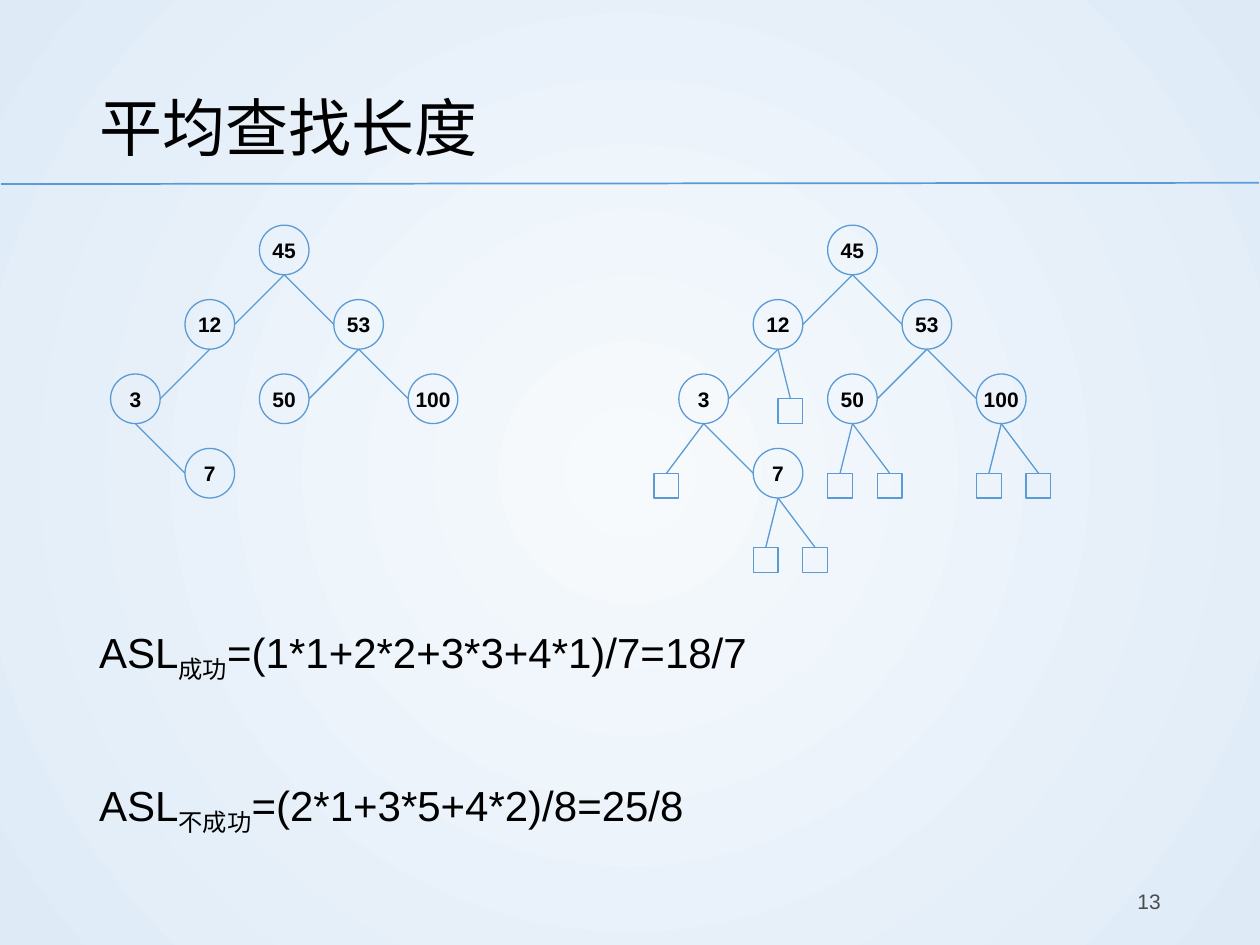
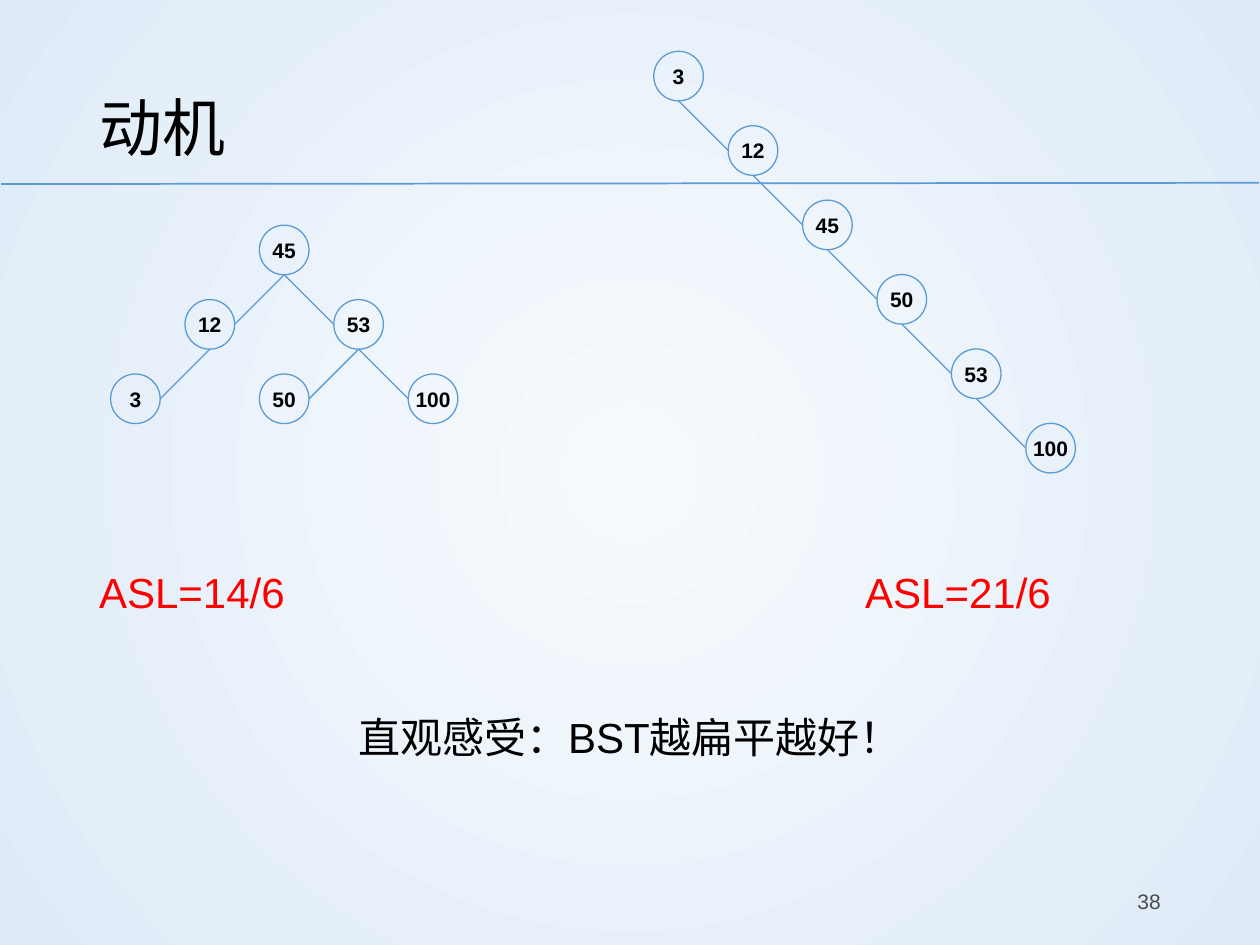
from typing import NamedTuple

from lxml import etree
from pptx import Presentation
from pptx.dml.color import RGBColor
from pptx.enum.shapes import MSO_CONNECTOR, MSO_SHAPE
from pptx.enum.text import MSO_ANCHOR, PP_ALIGN
from pptx.oxml.ns import qn
from pptx.util import Cm, Inches, Pt

LINE = MSO_CONNECTOR.STRAIGHT
OVAL, SQUARE = MSO_SHAPE.OVAL, MSO_SHAPE.RECTANGLE
TOP, MIDDLE = MSO_ANCHOR.TOP, MSO_ANCHOR.MIDDLE
LEFT, CENTER, RIGHT = PP_ALIGN.LEFT, PP_ALIGN.CENTER, PP_ALIGN.RIGHT

COLORS = {"center": "F7FAFD", "edge": "DEEBF7", "line": "5B9BD5",
          "text": "000000", "number": "4B4B4B", "result": "FF0000"}
FONT = "Arial"
GRID = Cm(0.5)
STEP = 3
RADIUS = 1
PAIR_OFFSETS = {-1: -0.5, 1: 1.5}
LONE_OFFSETS = {-1: -1.5, 1: 0.5}


class Box(NamedTuple):
    col: float
    row: float
    cols: float
    rows: float


class Tree(NamedTuple):
    col: float
    row: float
    keys: tuple[int, ...]
    show_leaves: bool = False


class Para(NamedTuple):
    texts: tuple[str, ...]
    color: str = "text"
    align: PP_ALIGN = LEFT
    tab: float = 0


class Page(NamedTuple):
    title: str
    number: str
    body: Box
    paras: tuple[Para, ...]
    trees: tuple[Tree, ...]


TITLE_BOX = Box(3.5, 2.03, 43.8, 5.5)
NUMBER_BOX = Box(35.87, 35.31, 11.43, 2.03)
RULE = (0.05, 7.42, 50.75, 7.37)

PAGES = (
    Page("平均查找长度", "13", Box(3.5, 24.54, 43.8, 9.8),
         (Para(("ASL", "成功", "=(1*1+2*2+3*3+4*1)/7=18/7")),
          Para(("ASL", "不成功", "=(2*1+3*5+4*2)/8=25/8"))),
         (Tree(11.46, 10.08, (45, 12, 53, 3, 7, 100, 50)),
          Tree(34.37, 10.08, (45, 12, 53, 3, 7, 100, 50), True))),
    Page("动机", "38", Box(3.5, 22.2, 43.8, 12.1),
         (Para(("ASL=14/6\tASL=21/6",), "result", tab=6.08),
          Para(("直观感受：BST越扁平越好！",), align=CENTER)),
         (Tree(11.46, 10.08, (45, 12, 53, 3, 100, 50)),
          Tree(27.36, 3.07, (3, 12, 45, 50, 53, 100)))),
)


def rgb(name: str) -> RGBColor:
    return RGBColor.from_string(COLORS[name])


def emu(*units: float) -> list[int]:
    return [round(u * GRID) for u in units]


def style_run(r, size: float, color: str, bold: bool = False) -> None:
    r.font.name = FONT
    r.font.size = Pt(size)
    r.font.bold = bold
    r.font.color.rgb = rgb(color)


def set_background(prs) -> None:
    master = prs.slide_master
    fill = master.background.fill
    fill.gradient()
    for stop, name in zip(fill.gradient_stops, ("center", "edge")):
        stop.color.rgb = rgb(name)
    grad = master.element.find(".//" + qn("a:gradFill"))
    grad.remove(grad.find(qn("a:lin")))
    circle = etree.SubElement(grad, qn("a:path"), path="circle")
    etree.SubElement(circle, qn("a:fillToRect"),
                     dict.fromkeys("ltrb", "50000"))


def add_line(s, x1: float, y1: float, x2: float, y2: float,
             width: float = 0.75) -> None:
    line = s.shapes.add_connector(LINE, *emu(x1, y1, x2, y2))
    line.line.color.rgb = rgb("line")
    line.line.width = Pt(width)
    etree.SubElement(line._element.spPr, qn("a:effectLst"))


def add_outline(s, kind: MSO_SHAPE, box: Box):
    sp = s.shapes.add_shape(kind, *emu(*box))
    sp.shadow.inherit = False
    sp.fill.background()
    sp.line.color.rgb = rgb("line")
    sp.line.width = Pt(0.75)
    return sp


def add_text(s, box: Box, anchor: MSO_ANCHOR):
    tf = s.shapes.add_textbox(*emu(*box)).text_frame
    tf.word_wrap = True
    tf.vertical_anchor = anchor
    return tf


def add_label(s, box: Box, text: str, size: float, color: str,
              align: PP_ALIGN = LEFT, spacing: float = 1.0) -> None:
    p = add_text(s, box, MIDDLE).paragraphs[0]
    p.text = text
    p.alignment = align
    p.line_spacing = spacing
    style_run(p.runs[0], size, color)


def add_body(s, box: Box, paras: tuple[Para, ...]) -> None:
    tf = add_text(s, box, TOP)
    for i, para in enumerate(paras):
        p = tf.add_paragraph() if i else tf.paragraphs[0]
        if para.tab:
            tabs = etree.SubElement(p._p.get_or_add_pPr(), qn("a:tabLst"))
            etree.SubElement(tabs, qn("a:tab"),
                             pos=str(Inches(para.tab)), algn="l")
        p.alignment = para.align
        p.line_spacing = 1.2
        if i:
            p.space_before = Pt(48)
        for j, text in enumerate(para.texts):
            r = p.add_run()
            r.text = text
            style_run(r, 24, para.color)
            if j == 1:
                r._r.get_or_add_rPr().set("baseline", "-25000")


def add_node(s, key: int, x: float, y: float) -> None:
    sp = add_outline(s, OVAL, Box(x - RADIUS, y - RADIUS,
                                  2 * RADIUS, 2 * RADIUS))
    tf = sp.text_frame
    tf.text = str(key)
    tf.word_wrap = False
    tf.vertical_anchor = MIDDLE
    tf.margin_left = tf.margin_right = tf.margin_top = tf.margin_bottom = 0
    p = tf.paragraphs[0]
    p.alignment = CENTER
    style_run(p.runs[0], 12, "text", bold=True)


def add_leaves(s, x: float, y: float, sides: list[int]) -> None:
    offsets = PAIR_OFFSETS if len(sides) == 2 else LONE_OFFSETS
    for side in sides:
        leaf_x, leaf_y = x + offsets[side], y + STEP
        add_outline(s, SQUARE, Box(leaf_x - 0.5, leaf_y, 1, 1))
        add_line(s, x, y + RADIUS, leaf_x, leaf_y)


def add_tree(s, tree: Tree) -> None:
    """Insert the keys into a binary search tree and draw it."""
    root = tree.keys[0]
    places = {root: (tree.col, tree.row)}
    children = {root: {}}
    for key in tree.keys[1:]:
        parent = root
        while (side := 1 if key > parent else -1) in children[parent]:
            parent = children[parent][side]
        children[parent][side] = key
        children[key] = {}
        x, y = places[parent]
        places[key] = (x + side * STEP, y + STEP)
        add_line(s, x, y + RADIUS, x + side * (STEP - RADIUS), y + STEP)
    for key, (x, y) in places.items():
        add_node(s, key, x, y)
        if tree.show_leaves:
            add_leaves(s, x, y, [d for d in (-1, 1) if d not in children[key]])


def add_page(prs, page: Page) -> None:
    s = prs.slides.add_slide(prs.slide_layouts[6])
    add_line(s, *RULE, width=1)
    add_label(s, TITLE_BOX, page.title, 36, "text", spacing=1.2)
    add_body(s, page.body, page.paras)
    add_label(s, NUMBER_BOX, page.number, 12, "number", RIGHT)
    for tree in page.trees:
        add_tree(s, tree)


def main() -> None:
    prs = Presentation()
    prs.slide_width, prs.slide_height = Inches(10), Inches(7.5)
    set_background(prs)
    for page in PAGES:
        add_page(prs, page)
    prs.save("out.pptx")


if __name__ == "__main__":
    main()
